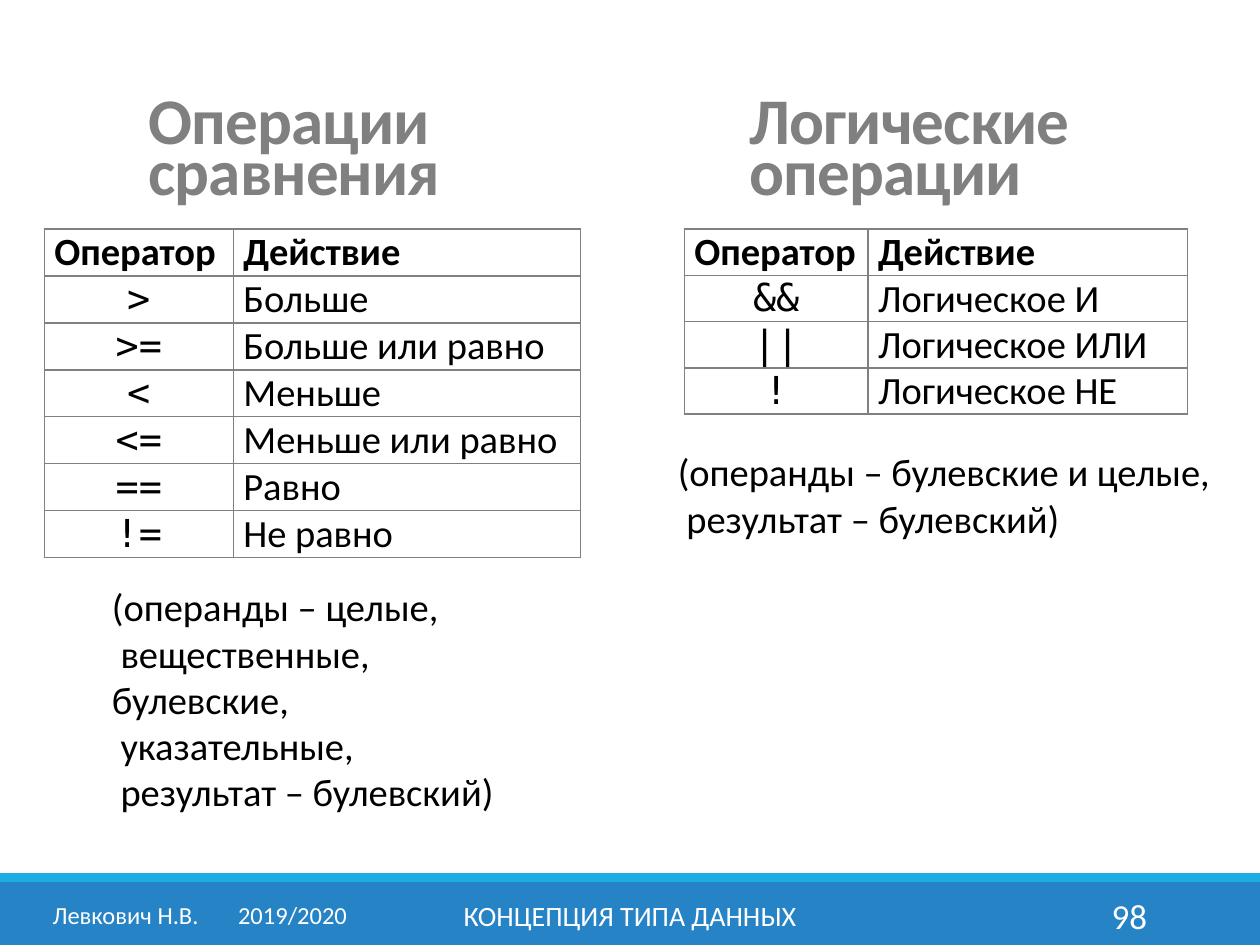
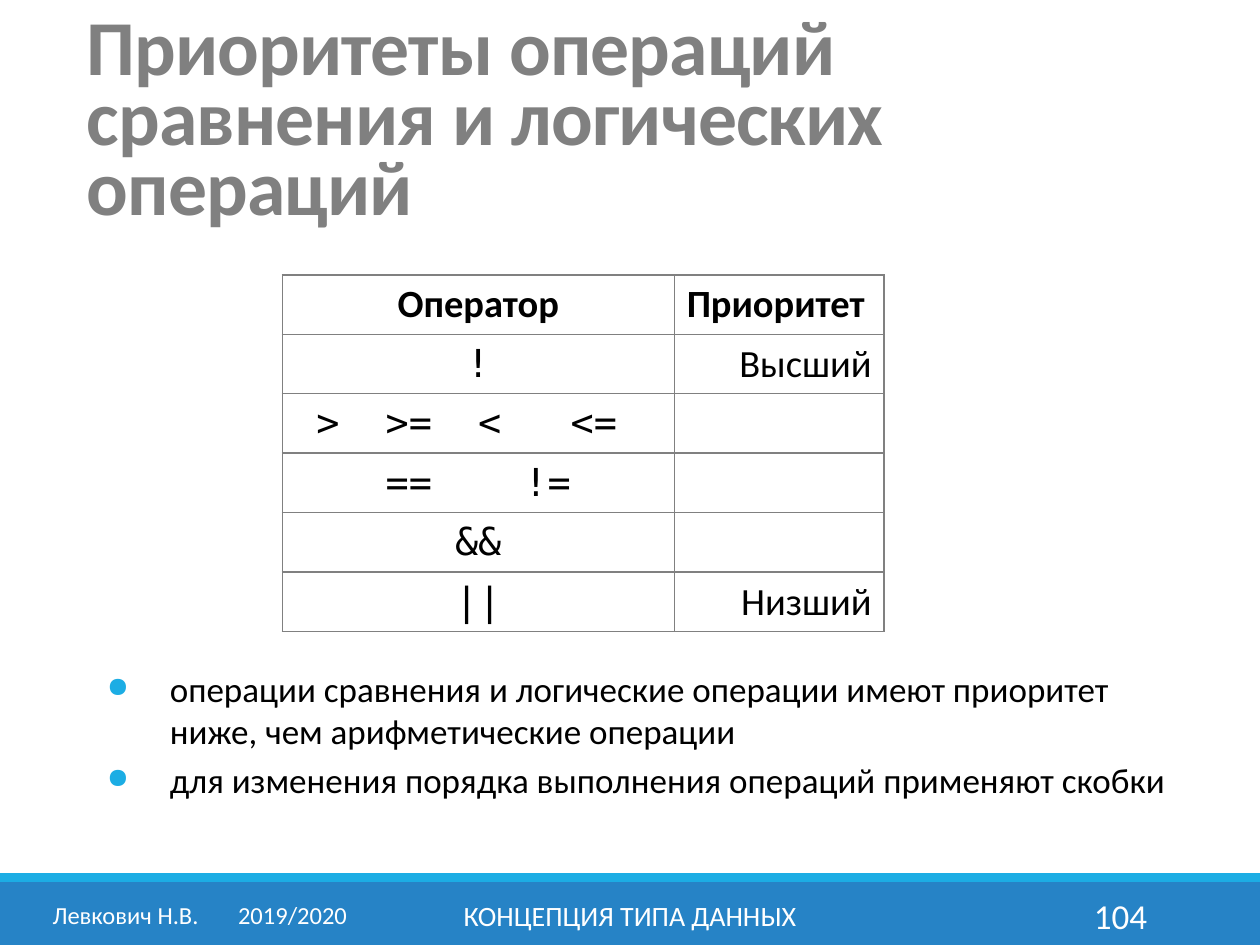
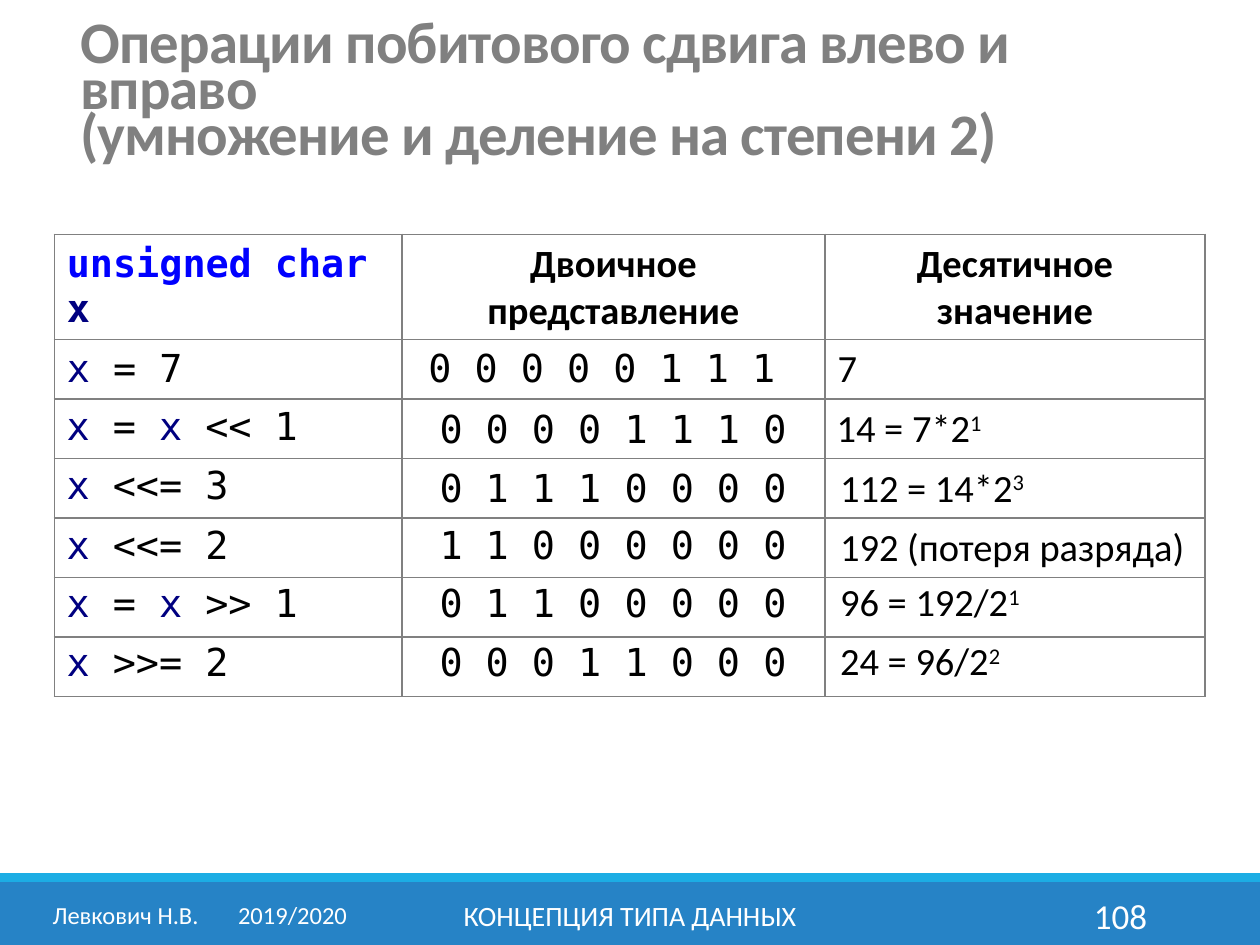
import itertools

import lxml.etree
import pptx
import pptx.dml.color
import pptx.enum.shapes
import pptx.enum.text
import pptx.oxml.ns
import pptx.util

BLUE, CYAN = "2683C6", "1CADE4"
GRAY, BLACK, WHITE = "808080", "000000", "FFFFFF"
KEYWORD, VARIABLE = "0000FF", "000080"
SANS, MONO = "Calibri", "DejaVu Sans Mono"
LEFT = pptx.enum.text.PP_ALIGN.LEFT
CENTER = pptx.enum.text.PP_ALIGN.CENTER
RIGHT = pptx.enum.text.PP_ALIGN.RIGHT
TOP = pptx.enum.text.MSO_ANCHOR.TOP
MIDDLE = pptx.enum.text.MSO_ANCHOR.MIDDLE
TITLE = dict(color=GRAY, bold=True, spacing=-0.5, anchor=MIDDLE)

rgb = pptx.dml.color.RGBColor.from_string
qn = pptx.oxml.ns.qn


def write_text(target, paragraphs, box=None, size=22, font=SANS, color=BLACK,
               bold=False, align=LEFT, anchor=TOP, line_spacing=None,
               spacing=None, tab=None, bullet=None, space_before=0):
    """Write into a table cell, or into a new text box on a slide.

    A paragraph is a string or a list of (text, color) pairs;
    a vertical tab inside a text breaks the line.
    """
    holder = target
    if box:
        holder = target.shapes.add_textbox(*map(pptx.util.Pt, box)).text_frame
        holder.word_wrap = True
    holder.vertical_anchor = anchor
    frame = holder if box else target.text_frame
    for number, content in enumerate(paragraphs):
        paragraph = frame.add_paragraph() if number else frame.paragraphs[0]
        paragraph.alignment = align
        if line_spacing:
            paragraph.line_spacing = line_spacing
        if number and space_before:
            paragraph.space_before = pptx.util.Pt(space_before)
        properties = paragraph._p.get_or_add_pPr()
        if bullet:
            indent = pptx.util.Pt(36)
            properties.set("marL", str(indent))
            properties.set("indent", str(-indent))
            bullet_color = lxml.etree.SubElement(properties, qn("a:buClr"))
            lxml.etree.SubElement(bullet_color, qn("a:srgbClr"), val=CYAN)
            lxml.etree.SubElement(properties, qn("a:buSzPct"), val="80000")
            lxml.etree.SubElement(properties, qn("a:buChar"), char=bullet)
        if tab:
            tabs = lxml.etree.SubElement(properties, qn("a:tabLst"))
            lxml.etree.SubElement(tabs, qn("a:tab"),
                                  pos=str(pptx.util.Pt(tab)), algn="l")
        pairs = [(content, color)] if isinstance(content, str) else content
        for text, text_color in pairs:
            for line, piece in enumerate(text.split("\v")):
                if line:
                    paragraph.add_line_break()
                run = paragraph.add_run()
                run.text = piece
                run.font.name = font
                run.font.size = pptx.util.Pt(size)
                run.font.bold = bold
                run.font.color.rgb = rgb(text_color)
                if spacing:
                    run._r.get_or_add_rPr().set("spc", str(round(spacing * 100)))
    return frame


def add_grid(slide, left, top, widths, heights, tight=False):
    """Add a white table with thin gray borders."""
    area = map(pptx.util.Pt, (left, top, sum(widths), sum(heights)))
    table = slide.shapes.add_table(len(heights), len(widths), *area).table
    table.first_row = table.horz_banding = False
    for column, width in zip(table.columns, widths):
        column.width = pptx.util.Pt(width)
    for row, height in zip(table.rows, heights):
        row.height = pptx.util.Pt(height)
    for cell in table.iter_cells():
        if tight:
            cell.margin_left = cell.margin_right = pptx.util.Pt(5.8)
            cell.margin_top = cell.margin_bottom = 0
        properties = cell._tc.get_or_add_tcPr()
        for side in ("a:lnL", "a:lnR", "a:lnT", "a:lnB"):
            border = lxml.etree.SubElement(properties, qn(side),
                                           w=str(pptx.util.Pt(1)))
            fill = lxml.etree.SubElement(border, qn("a:solidFill"))
            lxml.etree.SubElement(fill, qn("a:srgbClr"), val=GRAY)
        cell.fill.solid()
        cell.fill.fore_color.rgb = rgb(WHITE)
    return table


presentation = pptx.Presentation()
presentation.slide_width = pptx.util.Pt(720)
presentation.slide_height = pptx.util.Pt(540)

# Shared bands and footers
slides = []
for page in ("98", "104", "108"):
    slide = presentation.slides.add_slide(presentation.slide_layouts[6])
    for band_top, band_height, band_color in ((504, 36, BLUE), (499, 5, CYAN)):
        band = slide.shapes.add_shape(
            pptx.enum.shapes.MSO_SHAPE.RECTANGLE,
            *map(pptx.util.Pt, (0, band_top, 720, band_height)))
        band.shadow.inherit = False
        band.fill.solid()
        band.fill.fore_color.rgb = rgb(band_color)
        band.line.fill.background()
    for text, left, width, size, align, tab in (
            ("КОНЦЕПЦИЯ ТИПА ДАННЫХ", 217.5, 285, 16, CENTER, None),
            (page, 584.6, 78, 20, RIGHT, None),
            ("Левкович Н.В.\t2019/2020", 23, 188, 14, LEFT, 106)):
        write_text(slide, [text], box=(left, 508.5, width, 28.8), size=size,
                   color=WHITE, align=align, anchor=MIDDLE, tab=tab)
    slides.append(slide)
operators_slide, priorities_slide, shifts_slide = slides

# Comparison and logical operators
comparisons = [(">", "Больше"), (">=", "Больше или равно"), ("<", "Меньше"),
               ("<=", "Меньше или равно"), ("==", "Равно"), ("!=", "Не равно")]
logicals = [("&&", "Логическое И"), ("||", "Логическое ИЛИ"),
            ("!", "Логическое НЕ")]
for title, title_left, table_left, widths, row_height, operators in (
        ("Операции сравнения", 77.8, 25.3, (108, 198.5), 26.8, comparisons),
        ("Логические операции", 421.2, 391, (105, 182.5), 26.4, logicals)):
    write_text(operators_slide, [title], box=(title_left, 54.7, 266.4, 67.7),
               size=37.2, line_spacing=0.65, **TITLE)
    table = add_grid(operators_slide, table_left, 131, widths,
                     [row_height] * (len(operators) + 1), tight=True)
    for column, heading in enumerate(("Оператор", "Действие")):
        write_text(table.cell(0, column), [heading], bold=True)
    for row, (operator, action) in enumerate(operators, 1):
        write_text(table.cell(row, 0), [operator], font=MONO, align=CENTER,
                   anchor=MIDDLE)
        write_text(table.cell(row, 1), [action])

write_text(operators_slide,
           ["(операнды – целые,\v вещественные, булевские,\v указательные,",
            " результат – булевский)"], box=(56.9, 329.8, 249, 140.4))
write_text(operators_slide,
           ["(операнды – булевские и целые,\v результат – булевский)"],
           box=(380.2, 252.7, 323.3, 60.5))

# Operator priorities
write_text(priorities_slide,
           ["Приоритеты операций сравнения и логических операций"],
           box=(42.5, 25.9, 642.2, 90.7), size=44.4, line_spacing=0.75, **TITLE)
priorities = [("!", "Высший"), (">  >=  <   <= ", ""), ("==    !=", ""),
              ("&&", ""), ("||", "Низший")]
table = add_grid(priorities_slide, 161.3, 157, (224, 120), [34] * 6)
write_text(table.cell(0, 0), ["Оператор"], bold=True, align=CENTER, anchor=MIDDLE)
write_text(table.cell(0, 1), ["Приоритет"], bold=True, anchor=MIDDLE)
for row, (operator, priority) in enumerate(priorities, 1):
    write_text(table.cell(row, 0), [operator], font=MONO, align=CENTER,
               anchor=MIDDLE)
    if priority:
        write_text(table.cell(row, 1), [priority], align=RIGHT, anchor=MIDDLE)
write_text(priorities_slide,
           ["операции сравнения и логические операции имеют приоритет ниже, "
            "чем арифметические операции",
            "для изменения порядка выполнения операций применяют скобки"],
           box=(54, 378, 623.5, 108), size=20, bullet="●", space_before=4)

# Bitwise shifts
write_text(shifts_slide, ["Операции побитового сдвига влево и вправо",
                          "(умножение и деление на степени 2)"],
           box=(38.9, 20.9, 642.2, 67.7), size=33.6, line_spacing=0.65, **TITLE)
table = add_grid(shifts_slide, 31, 134, (198.7, 241.7, 217.2), [60] + [34] * 6)
write_text(table.cell(0, 0), [[("unsigned char ", KEYWORD), ("x", VARIABLE)]],
           font=MONO, bold=True, anchor=MIDDLE)
for column, heading in enumerate(("Двоичное представление",
                                  "Десятичное значение"), 1):
    write_text(table.cell(0, column), [heading], bold=True, align=CENTER,
               anchor=MIDDLE)
write_text(table.cell(1, 0), [[("x", VARIABLE), (" = 7", BLACK)]], font=MONO,
           anchor=MIDDLE)
write_text(table.cell(1, 1), ["0 0 0 0 0 1 1 1 "], font=MONO, align=CENTER,
           anchor=MIDDLE)
write_text(table.cell(1, 2), ["7"], anchor=MIDDLE)

# Shift steps laid over the remaining rows
for top, code, code_height, bits, bits_height, value, power, value_left in (
        (227.5, "x = x << 1", 31, "0 0 0 0 1 1 1 0", 34, "14 = 7*2", "1", 471),
        (261.4, "x <<= 3", 31, "0 1 1 1 0 0 0 0", 34, "112 = 14*2", "3", 473),
        (295.2, "x <<= 2", 31, "1 1 0 0 0 0 0 0", 31,
         "192 (потеря разряда)", "", 473),
        (326.9, "x = x >> 1", 34, "0 1 1 0 0 0 0 0", 34, "96 = 192/2", "1", 473),
        (360.7, "x >>= 2", 34, "0 0 0 1 1 0 0 0", 34, "24 = 96/2", "2", 473)):
    code_runs = [("".join(letters), VARIABLE if is_variable else BLACK)
                 for is_variable, letters
                 in itertools.groupby(code, lambda letter: letter == "x")]
    write_text(shifts_slide, [code_runs], box=(31, top, 198.7, code_height),
               font=MONO, anchor=MIDDLE)
    write_text(shifts_slide, [bits], box=(229.7, top, 241.2, bits_height),
               font=MONO, align=CENTER, anchor=MIDDLE)
    value_runs = [(value, BLACK)] + ([(power, BLACK)] if power else [])
    frame = write_text(shifts_slide, [value_runs], box=(value_left, top, 218, 34))
    if power:
        exponent = frame.paragraphs[0].runs[-1]
        exponent._r.get_or_add_rPr().set("baseline", "30000")

presentation.save("out.pptx")
